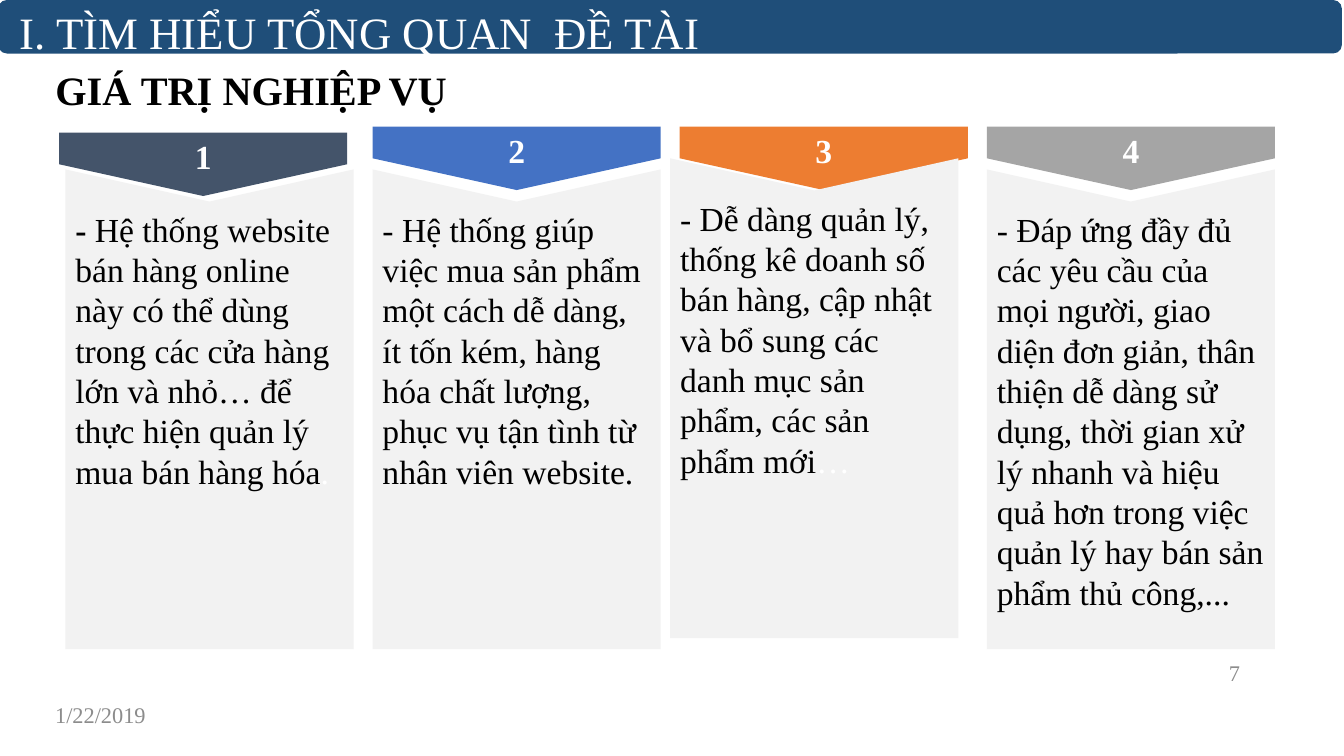
from pptx import Presentation
from pptx.dml.color import RGBColor
from pptx.enum.shapes import MSO_SHAPE
from pptx.enum.text import MSO_ANCHOR, MSO_AUTO_SIZE, PP_ALIGN
from pptx.util import Cm, Pt

PENTAGON, ROUNDED = MSO_SHAPE.PENTAGON, MSO_SHAPE.ROUNDED_RECTANGLE
TOP, MIDDLE = MSO_ANCHOR.TOP, MSO_ANCHOR.MIDDLE
LEFT, CENTER, RIGHT = PP_ALIGN.LEFT, PP_ALIGN.CENTER, PP_ALIGN.RIGHT
NO_AUTOFIT = MSO_AUTO_SIZE.NONE

COLORS = {
    "black": "000000", "white": "FFFFFF", "gray": "8C8C8C",
    "banner": "1F4E79", "card": "F2F2F2",
    "slate": "44546A", "blue": "4472C4", "orange": "ED7D31", "silver": "A5A5A5",
}


def paint(shape, color):
    shape.shadow.inherit = False
    shape.fill.solid()
    shape.fill.fore_color.rgb = RGBColor.from_string(COLORS[color])
    shape.line.fill.background()


def write(shape, runs, size, align=LEFT, anchor=MIDDLE):
    """Fill a shape with one paragraph; runs are (text, color, bold)."""
    frame = shape.text_frame
    frame_format = {"word_wrap": True, "auto_size": NO_AUTOFIT, "vertical_anchor": anchor}
    for name, value in frame_format.items():
        setattr(frame, name, value)
    paragraph = frame.paragraphs[0]
    paragraph.alignment = align
    for text, color, bold in runs:
        run = paragraph.add_run()
        run.text = text
        run_format = {"name": "Times New Roman", "size": Pt(size), "bold": bold}
        for name, value in run_format.items():
            setattr(run.font, name, value)
        run.font.color.rgb = RGBColor.from_string(COLORS[color])
    return paragraph


presentation = Presentation()
presentation.slide_width, presentation.slide_height = Cm(33.87), Cm(19.05)
slide = presentation.slides.add_slide(presentation.slide_layouts[5])
shapes = slide.shapes

# Slide title
title = shapes.title
title_place = {"left": Cm(1.14), "top": Cm(1.73), "width": Cm(29.21), "height": Cm(1.19)}
for name, value in title_place.items():
    setattr(title, name, value)
write(title, [("GIÁ TRỊ NGHIỆP VỤ", "black", True)], 28.8).line_spacing = 0.9

# Columns: arrow colour, arrow shift, card shift, card text
columns = [
    ("slate", (-0.16, 0.15), (0, 0), [
        ("- ", "black", True),
        ("Hệ thống website bán hàng online này có thể dùng trong các cửa hàng lớn "
         "và nhỏ… để thực hiện quản lý mua bán hàng hóa", "black", False),
        (".", "white", False)]),
    ("blue", (0, 0), (0, 0), [
        ("- Hệ thống giúp việc mua sản phẩm một cách dễ dàng, ít tốn kém, hàng hóa "
         "chất lượng, phục vụ tận tình từ nhân viên website.", "black", False)]),
    ("orange", (0, 0), (-0.24, -0.28), [
        ("- Dễ dàng quản lý, thống kê doanh số bán hàng, cập nhật và bổ sung các "
         "danh mục sản phẩm, các sản phẩm mới", "black", False),
        ("…", "white", False)]),
    ("silver", (0, 0), (0, 0), [
        ("- Đáp ứng đầy đủ các yêu cầu của mọi người, giao diện đơn giản, thân thiện "
         "dễ dàng sử dụng, thời gian xử lý nhanh và hiệu quả hơn trong việc quản lý "
         "hay bán sản phẩm thủ công,...", "black", False)]),
]
first_left, pitch, column_width = 1.65, 7.74, 7.26
arrow_middle, arrow_depth = 3.99, 1.6
card_top, card_height, notch = 4.27, 12.09, 0.81

for index, (color, arrow_shift, card_shift, runs) in enumerate(columns):
    column_left = first_left + index * pitch

    # Numbered arrow, turned to point down
    center_x = column_left + column_width / 2 + arrow_shift[0]
    center_y = arrow_middle + arrow_shift[1]
    arrow = shapes.add_shape(
        PENTAGON, Cm(center_x - arrow_depth / 2), Cm(center_y - column_width / 2),
        Cm(arrow_depth), Cm(column_width))
    arrow.rotation = 90
    paint(arrow, color)
    write(arrow, [(str(index + 1), "white", True)], 24, CENTER)
    arrow.element.txBody.bodyPr.set("vert", "vert270")

    # Card with a notched top edge
    left, top = column_left + card_shift[0], card_top + card_shift[1]
    right, bottom = left + column_width, top + card_height
    outline = shapes.build_freeform(Cm(left), Cm(top))
    corners = [((left + right) / 2, top + notch), (right, top), (right, bottom), (left, bottom)]
    outline.add_line_segments([(Cm(x), Cm(y)) for x, y in corners])
    card = outline.convert_to_shape()
    paint(card, "card")
    write(card, runs, 24, anchor=TOP)
    insets = {"margin_left": 0.25, "margin_top": 0.99, "margin_right": 0.25, "margin_bottom": 0.1}
    for name, value in insets.items():
        setattr(card.text_frame, name, Cm(value))

# Top banner
banner = shapes.add_shape(ROUNDED, Cm(-0.05), Cm(0), Cm(33.87), Cm(1.35))
paint(banner, "banner")

# Banner heading, date and page number
labels = [
    ("I. TÌM HIỂU TỔNG QUAN  ĐỀ TÀI", (0.25, 0, 18.19, 1.63), "white", 32, LEFT, TOP),
    ("1/22/2019", (1.14, 17.5, 7.62, 1.02), "gray", 16, LEFT, MIDDLE),
    ("7", (23.88, 16.43, 7.62, 1.02), "gray", 16, RIGHT, MIDDLE),
]
for text, place, color, size, align, anchor in labels:
    label = shapes.add_textbox(*[Cm(value) for value in place])
    write(label, [(text, color, False)], size, align, anchor)

presentation.save("out.pptx")
